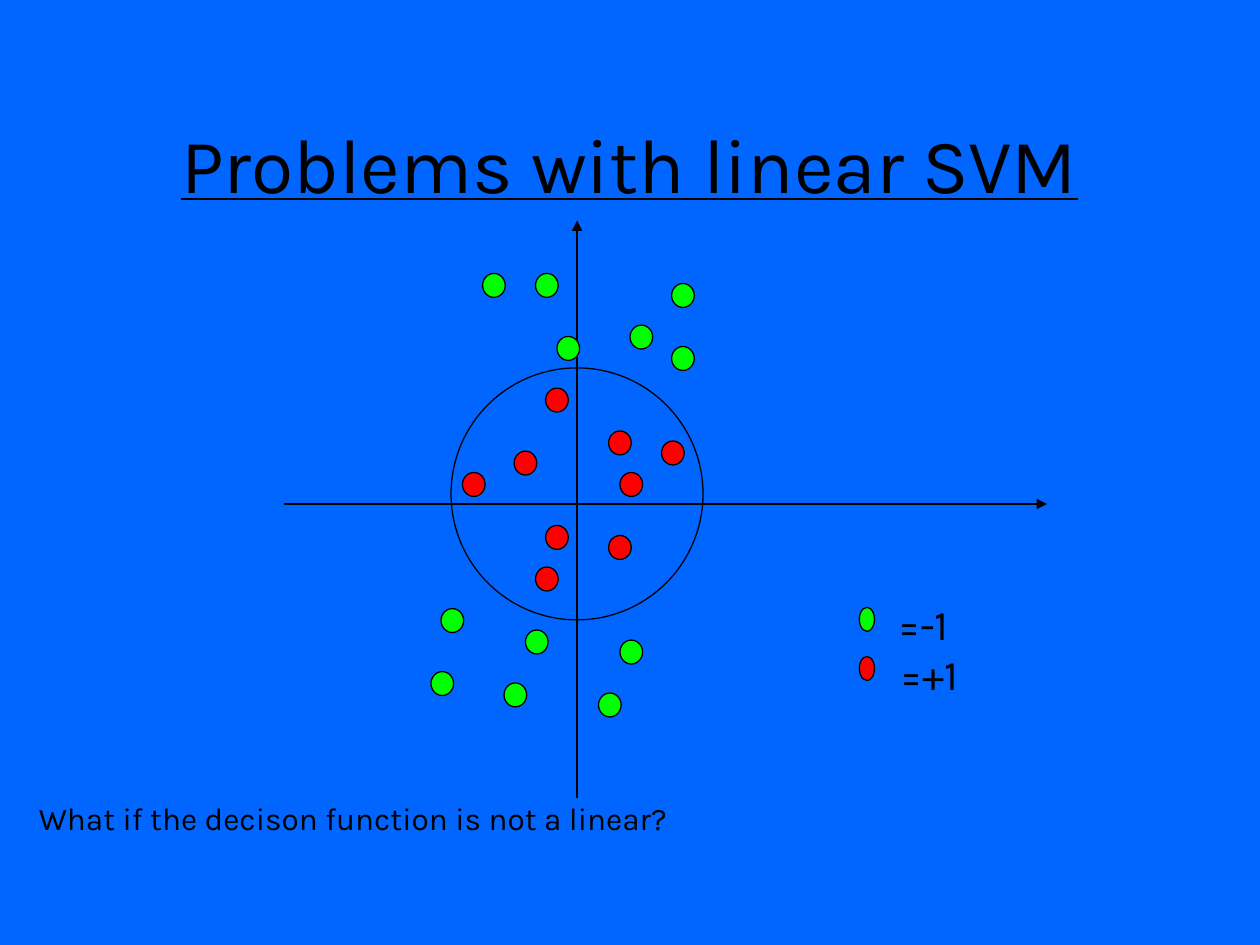
from dataclasses import dataclass

import pptx
import pptx.dml.color
import pptx.enum.shapes
import pptx.enum.text
import pptx.oxml.ns
import pptx.util
from lxml import etree
from pptx.util import Inches


@dataclass(frozen=True)
class Theme:
    background: str = "0066FF"
    ink: str = "000000"
    negative: str = "00FF00"
    positive: str = "FF0000"
    font: str = "Karla"
    title_size: int = 44
    legend_size: int = 24
    question_size: int = 18
    line_width: float = 0.75


@dataclass(frozen=True)
class Ellipse:
    left: float
    top: float
    width: float
    height: float
    color: str


@dataclass(frozen=True)
class Axis:
    start: tuple[float, float]
    end: tuple[float, float]


@dataclass(frozen=True)
class Label:
    text: str
    left: float
    top: float
    width: float
    height: float
    size: int
    space_before: float


THEME = Theme()
DOT_WIDTH, DOT_HEIGHT = 0.18, 0.19
LEGEND_DOT_WIDTH = 0.12

DECISION_BOUNDARY = Ellipse(3.58, 2.92, 2, 2, THEME.background)
NEGATIVE_POINTS = [
    (4.42, 2.67), (5, 2.58), (4.92, 5.08), (3.42, 5.33), (4, 5.42), (4.75, 5.5),
    (3.83, 2.17), (3.5, 4.83), (4.17, 5), (4.25, 2.17), (5.33, 2.25), (5.33, 2.75),
]
POSITIVE_POINTS = [
    (4.83, 4.25), (5.25, 3.5), (4.25, 4.5), (4.92, 3.75), (4.33, 3.08),
    (4.33, 4.17), (4.83, 3.42), (4.08, 3.58), (3.67, 3.75),
]
AXES = [Axis((4.58, 6.33), (4.58, 1.75)), Axis((2.25, 4), (8.31, 4))]
LEGEND_DOTS = [
    Ellipse(6.82, 4.82, LEGEND_DOT_WIDTH, DOT_HEIGHT, THEME.negative),
    Ellipse(6.82, 5.21, LEGEND_DOT_WIDTH, DOT_HEIGHT, THEME.positive),
]
LABELS = [
    Label("=-1", 7.03, 4.75, 0.69, 0.46, THEME.legend_size, 6),
    Label("=+1", 7.05, 5.14, 0.77, 0.46, THEME.legend_size, 6),
    Label("What if the decison function is not a linear?",
          0.21, 6.33, 5.25, 0.37, THEME.question_size, 4.5),
]


def rgb(color: str) -> pptx.dml.color.RGBColor:
    return pptx.dml.color.RGBColor.from_string(color)


def format_line(line) -> None:
    line.color.rgb = rgb(THEME.ink)
    line.width = pptx.util.Pt(THEME.line_width)


def format_runs(paragraph, size: int) -> None:
    for run in paragraph.runs:
        run.font.name = THEME.font
        run.font.size = pptx.util.Pt(size)
        run.font.color.rgb = rgb(THEME.ink)


def set_title(slide, text: str) -> None:
    title = slide.shapes.title
    title.left, title.top = Inches(0.75), Inches(0.67)
    title.width, title.height = Inches(8.5), Inches(1.25)
    title.text_frame.text = text
    title.text_frame.vertical_anchor = pptx.enum.text.MSO_ANCHOR.MIDDLE
    paragraph = title.text_frame.paragraphs[0]
    paragraph.alignment = pptx.enum.text.PP_ALIGN.CENTER
    format_runs(paragraph, THEME.title_size)
    paragraph.runs[0].font.underline = True


def draw_ellipse(slide, ellipse: Ellipse) -> None:
    shape = slide.shapes.add_shape(
        pptx.enum.shapes.MSO_SHAPE.OVAL,
        Inches(ellipse.left), Inches(ellipse.top),
        Inches(ellipse.width), Inches(ellipse.height))
    shape.shadow.inherit = False
    shape.fill.solid()
    shape.fill.fore_color.rgb = rgb(ellipse.color)
    format_line(shape.line)


def draw_points(slide, points: list[tuple[float, float]], color: str) -> None:
    for left, top in points:
        draw_ellipse(slide, Ellipse(left, top, DOT_WIDTH, DOT_HEIGHT, color))


def draw_axis(slide, axis: Axis) -> None:
    """Draw a shadowless line with an arrowhead at its end."""
    connector = slide.shapes.add_connector(
        pptx.enum.shapes.MSO_CONNECTOR.STRAIGHT,
        *map(Inches, axis.start + axis.end))
    format_line(connector.line)
    arrowhead = etree.SubElement(
        connector.line._get_or_add_ln(), pptx.oxml.ns.qn("a:tailEnd"))
    arrowhead.set("type", "triangle")
    etree.SubElement(connector._element.spPr, pptx.oxml.ns.qn("a:effectLst"))


def draw_label(slide, label: Label) -> None:
    box = slide.shapes.add_textbox(
        Inches(label.left), Inches(label.top),
        Inches(label.width), Inches(label.height))
    frame = box.text_frame
    frame.text = label.text
    frame.word_wrap = False
    frame.auto_size = pptx.enum.text.MSO_AUTO_SIZE.SHAPE_TO_FIT_TEXT
    paragraph = frame.paragraphs[0]
    paragraph.line_spacing = 0.9
    paragraph.space_before = pptx.util.Pt(label.space_before)
    format_runs(paragraph, label.size)


def main() -> None:
    presentation = pptx.Presentation()
    presentation.slide_width = Inches(10)
    presentation.slide_height = Inches(7.5)
    slide = presentation.slides.add_slide(
        presentation.slide_layouts.get_by_name("Title Only"))
    slide.background.fill.solid()
    slide.background.fill.fore_color.rgb = rgb(THEME.background)

    draw_ellipse(slide, DECISION_BOUNDARY)
    set_title(slide, "Problems with linear SVM")
    for axis in AXES:
        draw_axis(slide, axis)
    draw_points(slide, NEGATIVE_POINTS, THEME.negative)
    draw_points(slide, POSITIVE_POINTS, THEME.positive)
    for dot in LEGEND_DOTS:
        draw_ellipse(slide, dot)
    for label in LABELS:
        draw_label(slide, label)
    presentation.save("out.pptx")


if __name__ == "__main__":
    main()
